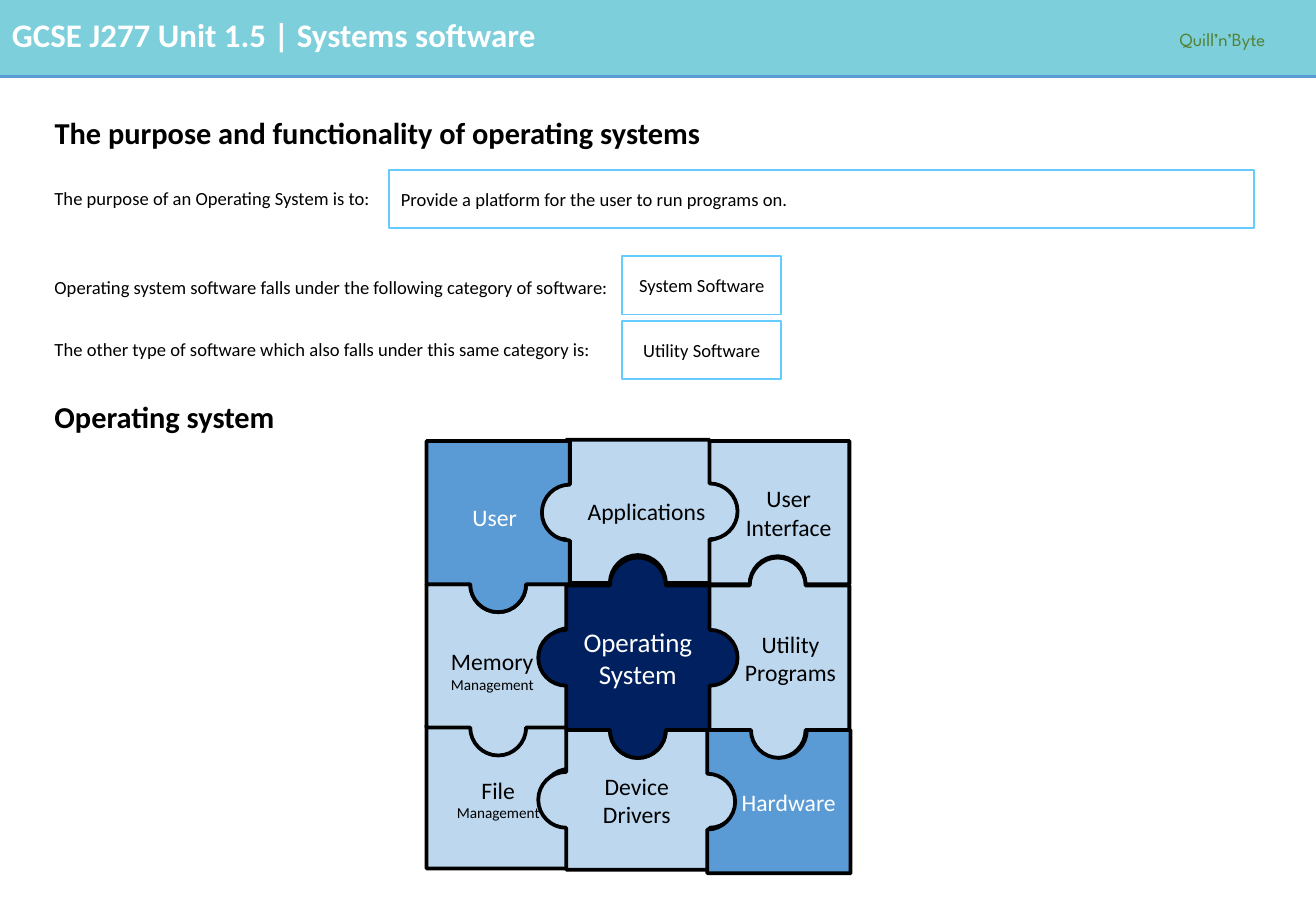
from lxml import etree
from pptx import Presentation
from pptx import util as u
from pptx.dml.color import RGBColor
from pptx.enum import shapes, text
from pptx.oxml.ns import qn

FONT = "Calibri"
BLACK, WHITE = "000000", "FFFFFF"
AQUA, BLUE, SKY, PALE, NAVY, GREEN = "7CCFDB", "5B9BD5", "66CCFF", "BDD7EE", "002060", "548235"
LEFT, CENTER = text.PP_ALIGN.LEFT, text.PP_ALIGN.CENTER
TOP, MIDDLE = text.MSO_ANCHOR.TOP, text.MSO_ANCHOR.MIDDLE
MARGINS = (0.1, 0.05, 0.1, 0.05)

# Content
UNIT = "GCSE J277 Unit 1.5 | Systems software"
BRAND = "Quill’n’Byte"
HEADING = "The purpose and functionality of operating systems"
SUBHEADING = "Operating system"

# Question, its top and width; answer, its left, top, width and alignment
QUESTIONS = [
    ("The purpose of an Operating System is to:", 1.49, 2.86,
     "Provide a platform for the user to run programs on.", 3.2, 1.4, 7.12, LEFT),
    ("Operating system software falls under the following category of software:", 2.22, 4.86,
     "System Software", 5.12, 2.11, 1.31, CENTER),
    ("The other type of software which also falls under this same category is:", 2.73, 4.71,
     "Utility Software", 5.12, 2.64, 1.31, CENTER),
]

# Jigsaw, back to front: paragraphs of (text, size), left, top, height, fill, margins and
# the edges (top, right, bottom, left): 1 is a knob, -1 a socket, 0 straight
PIECE_WIDTH, KNOB = 1.18, 0.23
PIECES = [
    ([[("File", 14)], [("Management", 9)]], 3.51, 5.97, 1.18, PALE,
     (0.05, 0.08, 0.05, 0.05), (-1, -1, 0, 0)),
    ([[("User Interface", 14)]], 5.81, 3.63, 1.18, PALE,
     (0.28, 0.05, 0.1, 0.05), (0, 0, -1, -1)),
    ([[("Device\nDrivers", 14)]], 4.66, 6.01, 1.15, PALE,
     (0.08, 0.05, 0.1, 0.05), (-1, 1, 0, 1)),
    ([[("Utility\nPrograms", 14)]], 5.81, 4.82, 1.19, PALE,
     (0.31, 0.05, 0.1, 0.05), (1, 0, 1, -1)),
    ([[("Hardware", 14)]], 5.82, 6.01, 1.18, BLUE,
     (0.26, 0.05, 0.1, 0.05), (-1, 0, 0, -1)),
    ([[("Applications", 14)]], 4.66, 3.62, 1.18, PALE,
     (0.24, 0.05, 0.1, 0.05), (0, 1, -1, 1)),
    ([[("Memory\n", 14), ("Management", 9)]], 3.51, 4.81, 1.18, PALE,
     (0, 0.05, 0.1, 0.05), (-1, -1, 1, 0)),
    ([[("User", 14)]], 3.51, 3.63, 1.18, BLUE,
     (0.04, 0, 0.1, 0.16), (0, -1, 1, 0)),
    ([[("Operating\nSystem", 16)]], 4.66, 4.82, 1.19, NAVY, MARGINS, (1, 1, 1, 1)),
]

# Half circle of radius 1 as two Bezier curves: (along the edge, outwards)
BEND = 0.55
HALF_CIRCLE = [(-1, 0), (-1, BEND), (-BEND, 1), (0, 1), (BEND, 1), (1, BEND), (1, 0)]


def rgb(value):
    return RGBColor.from_string(value)


def write(sp, paragraphs, color=BLACK, align=LEFT, anchor=TOP, bold=False,
          font=FONT, margins=MARGINS, spacing=None, wrap=True):
    tf = sp.text_frame
    tf.auto_size = text.MSO_AUTO_SIZE.NONE
    tf.word_wrap = wrap
    tf.vertical_anchor = anchor
    tf.margin_left, tf.margin_top, tf.margin_right, tf.margin_bottom = map(u.Inches, margins)
    for i, runs in enumerate(paragraphs):
        p = tf.add_paragraph() if i else tf.paragraphs[0]
        p.alignment = align
        if spacing:
            p.line_spacing = spacing
        for content, size in runs:
            for j, line in enumerate(content.split("\n")):
                if j:
                    p.add_line_break()
                if line:
                    r = p.add_run()
                    r.text = line
                    r.font.name, r.font.size, r.font.bold = font, u.Pt(size), bold
                    r.font.color.rgb = rgb(color)


def style(sp, fill=None, line=None, width=1):
    sp.shadow.inherit = False
    if fill:
        sp.fill.solid()
        sp.fill.fore_color.rgb = rgb(fill)
    else:
        sp.fill.background()
    if line:
        sp.line.color.rgb = rgb(line)
        sp.line.width = u.Pt(width)
    else:
        sp.line.fill.background()


def add_box(s, *place):
    return s.shapes.add_shape(shapes.MSO_SHAPE.RECTANGLE, *map(u.Inches, place))


def add_text(s, place, content, size, **options):
    sp = s.shapes.add_textbox(*map(u.Inches, place))
    write(sp, [[(content, size)]], **options)


def add_piece(s, left, top, height, edges):
    """Walk clockwise, with a half circle in the middle of each shaped edge."""
    right, bottom = left + PIECE_WIDTH, top + height
    corners = [(left, top), (right, top), (right, bottom), (left, bottom)]
    directions = [(1, 0), (0, 1), (-1, 0), (0, -1)]
    points, curves = [], []
    for i, ((dx, dy), edge) in enumerate(zip(directions, edges)):
        (x1, y1), (x2, y2) = corners[i], corners[(i + 1) % 4]
        points.append((x1, y1))
        if edge:
            curves += [len(points), len(points) + 3]
            for a, b in HALF_CIRCLE:
                along, out = a * KNOB, b * KNOB * edge
                points.append(((x1 + x2) / 2 + along * dx + out * dy,
                               (y1 + y2) / 2 + along * dy - out * dx))
    points = [(u.Inches(x), u.Inches(y)) for x, y in points]
    builder = s.shapes.build_freeform(*points[0])
    builder.add_line_segments(points[1:], close=True)
    piece = builder.convert_to_shape()

    # Join each three segments of a half circle into one Bezier curve
    segments = list(piece.element.iter(qn("a:lnTo")))
    for start in curves:
        first, *others = segments[start:start + 3]
        curve = etree.Element(qn("a:cubicBezTo"))
        first.addprevious(curve)
        for segment in [first, *others]:
            curve.append(segment[0])
            segment.getparent().remove(segment)
    return piece


def main():
    prs = Presentation()
    prs.slide_width, prs.slide_height = u.Inches(10.83), u.Inches(7.5)
    s = prs.slides.add_slide(prs.slide_layouts[5])

    # Header band
    style(add_box(s, 0, 0, 10.83, 0.63), AQUA)
    rule = s.shapes.add_connector(shapes.MSO_CONNECTOR.STRAIGHT,
                                  *map(u.Inches, (0, 0.63, 10.83, 0.63)))
    rule.line.color.rgb = rgb(BLUE)
    rule.line.width = u.Pt(2.25)
    etree.SubElement(rule.element.spPr, qn("a:effectLst"))
    add_text(s, (0, 0.07, 9.48, 0.43), UNIT, 19.5, color=WHITE, bold=True)
    add_text(s, (9.61, 0.17, 1.22, 0.29), BRAND, 11, color=GREEN,
             font="League Spartan", spacing=1.07, wrap=False)

    # Headings
    title = s.shapes.title
    title.left, title.top, title.width, title.height = map(u.Inches, (0.35, 0.83, 10.1, 0.56))
    heading = dict(bold=True, anchor=MIDDLE, spacing=0.9)
    write(title, [[(HEADING, 18)]], **heading)
    add_text(s, (0.35, 3.17, 10.1, 0.56), SUBHEADING, 18, **heading)

    # Questions and answers
    for question, q_top, q_width, answer, left, top, width, align in QUESTIONS:
        add_text(s, (0.35, q_top, q_width, 0.29), question, 11, wrap=False)
        box = add_box(s, left, top, width, 0.48)
        style(box, line=SKY)
        write(box, [[(answer, 11)]], align=align, anchor=MIDDLE)

    # Jigsaw
    for paragraphs, left, top, height, fill, margins, edges in PIECES:
        piece = add_piece(s, left, top, height, edges)
        style(piece, fill, BLACK, 2.25)
        write(piece, paragraphs, color=BLACK if fill == PALE else WHITE,
              align=CENTER, anchor=MIDDLE, margins=margins)

    prs.save("out.pptx")


if __name__ == "__main__":
    main()
